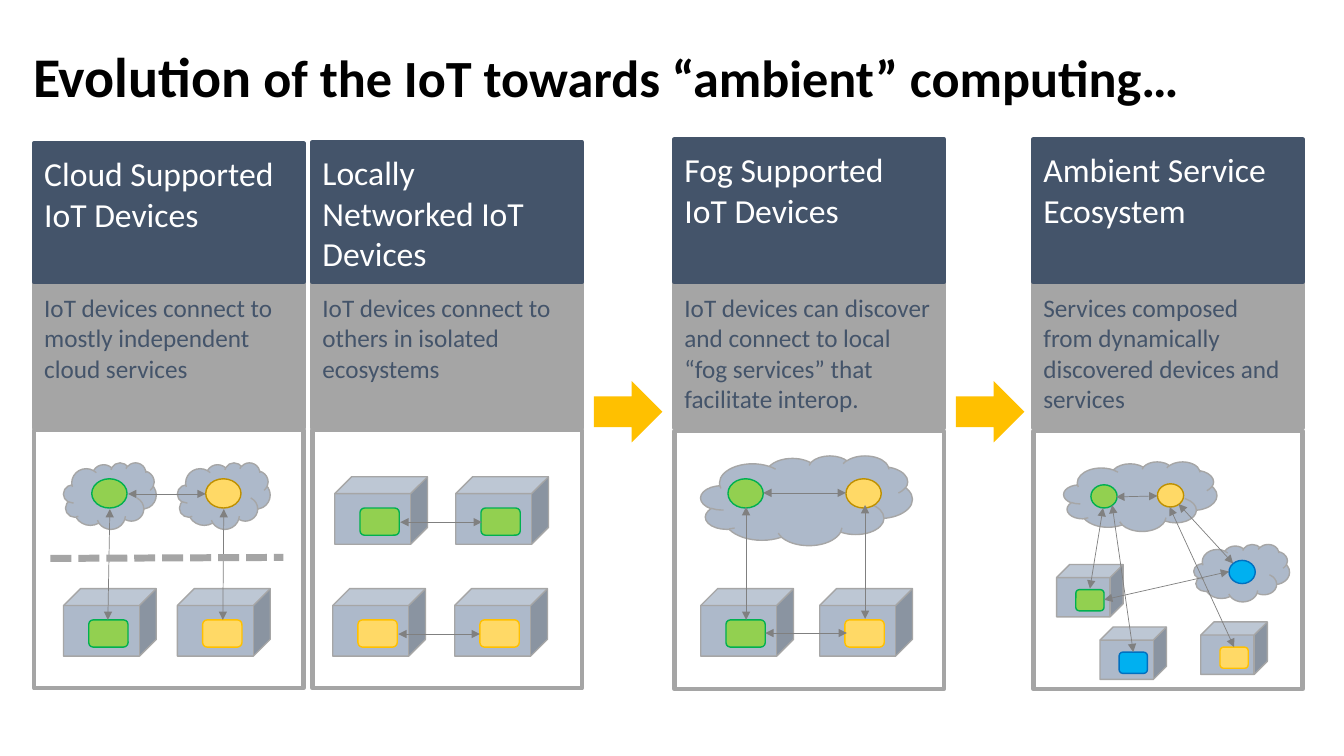
from lxml import etree
from pptx import Presentation
from pptx.dml.color import RGBColor
from pptx.enum.dml import MSO_LINE
from pptx.enum.shapes import MSO_CONNECTOR, MSO_SHAPE
from pptx.enum.text import MSO_ANCHOR, PP_ALIGN
from pptx.oxml.ns import qn
from pptx.util import Inches, Pt

RECT = MSO_SHAPE.RECTANGLE
ROUND = MSO_SHAPE.ROUNDED_RECTANGLE
OVAL = MSO_SHAPE.OVAL
CUBE = MSO_SHAPE.CUBE
CLOUD = MSO_SHAPE.CLOUD
ARROW = MSO_SHAPE.RIGHT_ARROW
STRAIGHT = MSO_CONNECTOR.STRAIGHT
DOTS = MSO_LINE.SQUARE_DOT
LEFT = PP_ALIGN.LEFT
TOP, MIDDLE = MSO_ANCHOR.TOP, MSO_ANCHOR.MIDDLE

FONT = "Calibri"
NAVY, GRAY, GOLD, WHITE = "44546A", "A5A5A5", "FFC000", "FFFFFF"
STEEL, EDGE, WIRE = "ADB9CA", "A6A6A6", "808080"

# Fill, outline of a service dot, outline of a device chip
GREEN = ("92D050", "00B050", "00B050")
AMBER = ("FFD966", "BF9000", "FFC000")
BLUE = ("00B0F0", "0070C0", "0070C0")

# Cube size, chip offset and chip size
LARGE = (0.92, 0.67, 0.25, 0.31, 0.39, 0.27)
SMALL = (0.66, 0.52, 0.19, 0.25, 0.28, 0.21)
BIG_DOT, SMALL_DOT = (0.35, 0.29), (0.26, 0.23)

# Left, header top, frame top, heading, description
CARDS = [
    (0.34, 1.42, 4.27, "Cloud Supported IoT Devices",
     "IoT devices connect to mostly independent cloud services"),
    (3.1, 1.41, 4.27, "Locally Networked IoT Devices",
     "IoT devices connect to others in isolated ecosystems"),
    (6.69, 1.38, 4.28, "Fog Supported IoT Devices",
     "IoT devices can discover and connect to local “fog services” "
     "that facilitate interop."),
    (10.25, 1.38, 4.28, "Ambient Service Ecosystem",
     "Services composed from dynamically discovered devices and services"),
]
CLOUDS = [
    (0.63, 4.59, 0.92, 0.66), (1.76, 4.59, 0.92, 0.66),
    (6.95, 4.52, 2.1, 0.89),
    (10.55, 4.58, 1.52, 0.69), (11.84, 5.4, 0.95, 0.57),
]
SERVICES = [
    (0.91, 4.75, BIG_DOT, GREEN), (2.04, 4.75, BIG_DOT, AMBER),
    (7.22, 4.75, BIG_DOT, GREEN), (8.39, 4.75, BIG_DOT, AMBER),
    (10.82, 4.81, SMALL_DOT, GREEN), (11.48, 4.8, SMALL_DOT, AMBER),
    (12.19, 5.56, SMALL_DOT, BLUE),
]
DEVICES = [
    (0.63, 5.84, LARGE, GREEN), (1.76, 5.84, LARGE, AMBER),
    (3.32, 4.73, LARGE, GREEN), (4.52, 4.73, LARGE, GREEN),
    (3.3, 5.84, LARGE, AMBER), (4.51, 5.84, LARGE, AMBER),
    (6.95, 5.84, LARGE, GREEN), (8.13, 5.84, LARGE, AMBER),
    (10.48, 5.6, SMALL, GREEN), (10.91, 6.22, SMALL, BLUE),
    (11.91, 6.17, SMALL, AMBER),
]
LINKS = [
    (1.09, 5.05, 1.07, 6.15), (2.22, 5.05, 2.21, 6.15),
    (1.27, 4.9, 2.04, 4.9),
    (3.97, 5.18, 4.78, 5.18), (3.95, 6.29, 4.76, 6.29),
    (7.57, 4.89, 8.39, 4.89), (7.59, 6.28, 8.4, 6.28),
    (7.4, 5.03, 7.4, 6.15), (8.58, 5.01, 8.58, 6.14),
    (11.07, 4.93, 11.48, 4.92), (10.94, 5.04, 10.81, 5.84),
    (11.69, 5, 12.23, 5.59), (10.95, 5.95, 12.19, 5.67),
    (11.03, 5.01, 11.24, 6.47), (11.6, 5.03, 12.24, 6.42),
]


def color(code):
    return RGBColor.from_string(code)


def add_block(slide, kind, box, fill=None, edge=None, width=1):
    block = slide.shapes.add_shape(kind, *map(Inches, box))
    block.shadow.inherit = False
    if fill:
        block.fill.solid()
        block.fill.fore_color.rgb = color(fill)
    else:
        block.fill.background()
    if edge:
        block.line.color.rgb = color(edge)
        block.line.width = Pt(width)
    else:
        block.line.fill.background()
    return block


def set_frame(shape, anchor):
    frame = shape.text_frame
    frame.word_wrap = True
    frame.vertical_anchor = anchor
    frame.margin_left = frame.margin_right = Inches(0.1)
    frame.margin_top = frame.margin_bottom = Inches(0.1)
    return frame


def set_font(font, size, code):
    font.name = FONT
    font.size = Pt(size)
    font.color.rgb = color(code)


def add_title(slide):
    box = slide.shapes.add_textbox(
        Inches(0.23), Inches(0.28), Inches(11.88), Inches(0.93))
    para = set_frame(box, MIDDLE).paragraphs[0]
    for text, size in (("Evolution", 40),
                       (" of the IoT towards “ambient” computing…", 37.3)):
        run = para.add_run()
        run.text = text
        set_font(run.font, size, "000000")
        run.font.bold = True


def add_panel(slide, box, text, size, fill, ink):
    panel = add_block(slide, RECT, box, fill, fill, 3)
    frame = set_frame(panel, TOP)
    frame.text = text
    para = frame.paragraphs[0]
    para.alignment = LEFT
    set_font(para.runs[0].font, size, ink)


def add_card(slide, left, top, base, head, note):
    wide, split = 2.67, 2.8
    add_panel(slide, (left, split, wide, 1.45), note, 18, GRAY, NAVY)
    add_panel(slide, (left, top, wide, split - top), head, 24, NAVY, WHITE)
    add_block(slide, RECT, (left, base, wide, 2.56), None, GRAY, 3)


def add_device(slide, left, top, form, tint):
    """Draw a cube with a coloured chip on its front."""
    wide, high, right, down, *chip = form
    add_block(slide, CUBE, (left, top, wide, high), STEEL, EDGE)
    add_block(slide, ROUND, (left + right, top + down, *chip),
              tint[0], tint[2])


def add_line(slide, ends, code, width):
    line = slide.shapes.add_connector(STRAIGHT, *map(Inches, ends))
    line.line.color.rgb = color(code)
    line.line.width = Pt(width)
    etree.SubElement(line._element.spPr, qn("a:effectLst"))
    return line


def add_link(slide, ends):
    link = add_line(slide, ends, WIRE, 0.5)
    for end in ("a:headEnd", "a:tailEnd"):
        etree.SubElement(link.line._get_or_add_ln(), qn(end), type="triangle")


def main():
    deck = Presentation()
    deck.slide_width, deck.slide_height = Inches(13.33), Inches(7.5)
    slide = deck.slides.add_slide(deck.slide_layouts[6])
    add_title(slide)
    for card in CARDS:
        add_card(slide, *card)
    for left in (5.89, 9.48):
        add_block(slide, ARROW, (left, 3.78, 0.68, 0.61), GOLD)
    for box in CLOUDS:
        add_block(slide, CLOUD, box, STEEL, EDGE)
    for left, top, size, tint in SERVICES:
        add_block(slide, OVAL, (left, top, *size), tint[0], tint[1])
    for device in DEVICES:
        add_device(slide, *device)
    for ends in LINKS:
        add_link(slide, ends)
    border = add_line(slide, (0.5, 5.54, 2.81, 5.53), GRAY, 5)
    border.line.dash_style = DOTS
    deck.save("out.pptx")


if __name__ == "__main__":
    main()
